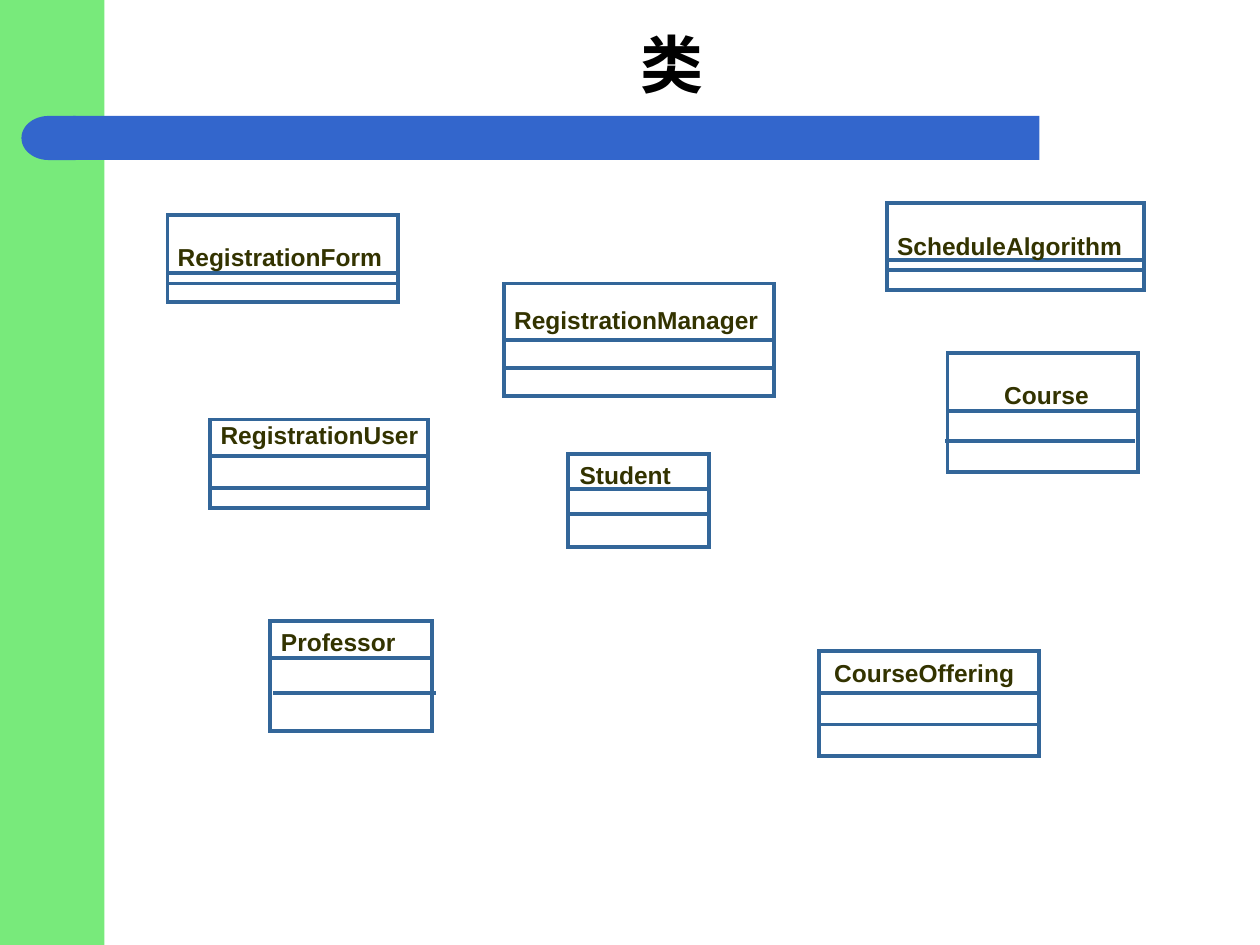
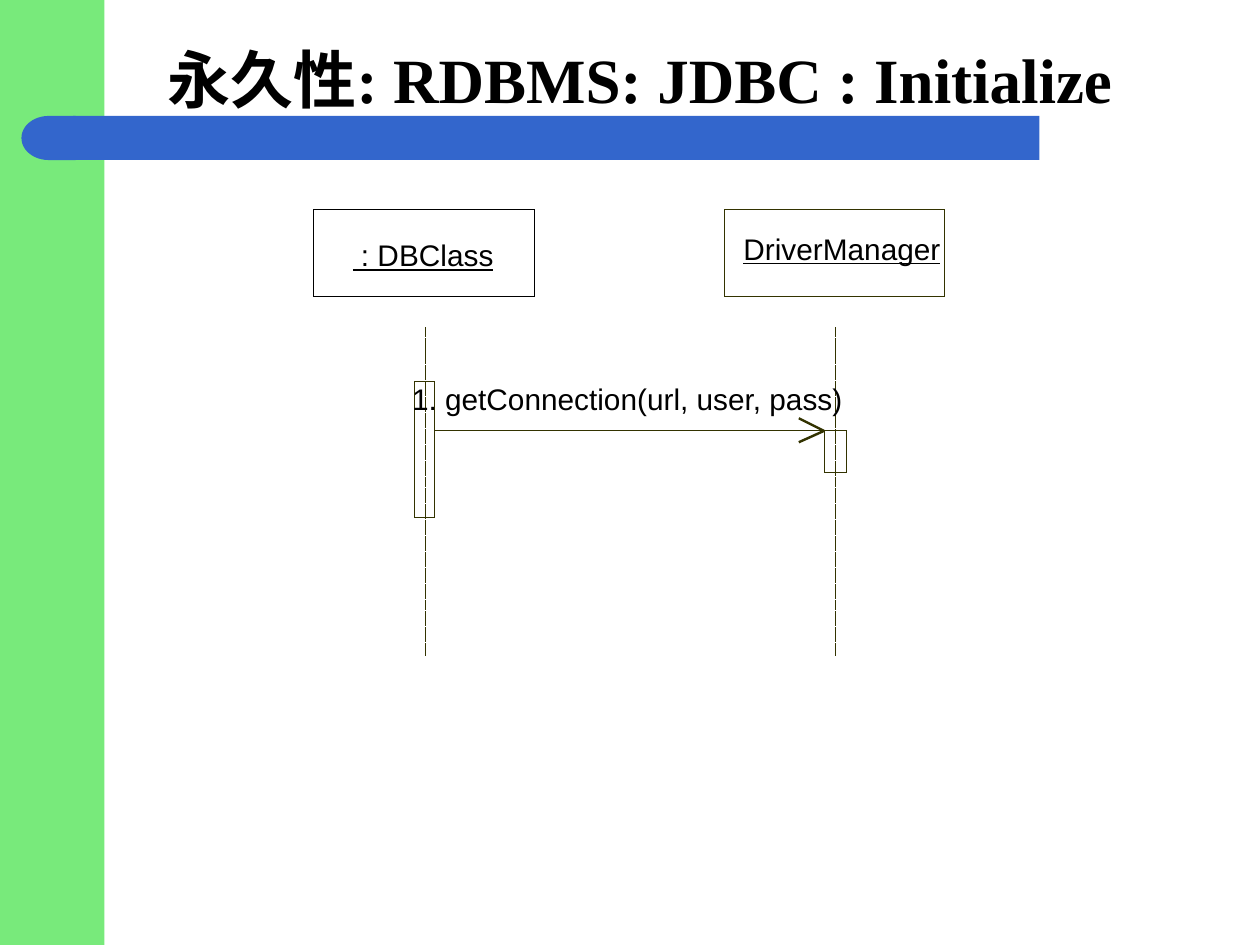
from lxml import etree
from pptx import Presentation
from pptx.dml.color import RGBColor
from pptx.enum.dml import MSO_LINE
from pptx.enum.shapes import MSO_CONNECTOR, MSO_SHAPE
from pptx.enum.text import MSO_ANCHOR, MSO_AUTO_SIZE, PP_ALIGN
from pptx.oxml.ns import qn
from pptx.util import Inches, Pt

RECTANGLE = MSO_SHAPE.RECTANGLE
DELAY = MSO_SHAPE.FLOWCHART_DELAY
STRAIGHT = MSO_CONNECTOR.STRAIGHT
DASHED = MSO_LINE.SQUARE_DOT
CENTER = PP_ALIGN.CENTER
MIDDLE = MSO_ANCHOR.MIDDLE
FIXED_SIZE = MSO_AUTO_SIZE.NONE
LEFT_SIDE, RIGHT_SIDE = 1, 3
TITLE_ONLY = 5
HAIRLINE = 0.01  # a width of zero would fall back to the theme's line

COLORS = {
    "side": "78EA7B",
    "bar": "3366CC",
    "class": "336699",
    "olive": "333300",
    "black": "000000",
}

# name, box, label place, then (height, sideways shift) of both dividers
CLASSES = [
    ("RegistrationForm", (1.33, 1.71, 1.83, 0.69), (1.41, 1.92, 1.68, 0.23), [(2.17, 0), (2.25, 0)]),
    ("RegistrationManager", (4, 2.25, 2.14, 0.89), (4.08, 2.42, 1.99, 0.23), [(2.7, 0), (2.92, 0)]),
    ("Course", (7.52, 2.8, 1.51, 0.95), (7.97, 3.02, 0.72, 0.23), [(3.26, 0), (3.5, -0.02)]),
    ("Student", (4.51, 3.6, 1.12, 0.74), (4.6, 3.65, 0.78, 0.23), [(3.88, 0), (4.08, -0.01)]),
    ("CourseOffering", (6.5, 5.17, 1.75, 0.83), (6.62, 5.22, 1.48, 0.23), [(5.5, 0), (5.75, 0)]),
    ("Professor", (2.14, 4.93, 1.29, 0.87), (2.23, 4.98, 0.96, 0.23), [(5.22, 0), (5.5, 0.03)]),
    ("ScheduleAlgorithm", (7.04, 1.61, 2.04, 0.69), (7.12, 1.83, 1.84, 0.23), [(2.06, 0), (2.14, 0)]),
    ("RegistrationUser", (1.67, 3.33, 1.73, 0.7), (1.75, 3.33, 1.62, 0.23), [(3.62, 0), (3.87, 0)]),
]

# label, its place, box left, box color, lifeline x, activation bar
PARTICIPANTS = [
    (" : DBClass", (2.8, 1.88, 1.17, 0.28), 2.49, "black", 3.38, (3.29, 3.03, 0.16, 1.08)),
    ("DriverManager", (5.9, 1.83, 1.62, 0.28), 5.75, "olive", 6.63, (6.54, 3.42, 0.18, 0.33)),
]


def rgb(color):
    return RGBColor.from_string(COLORS[color])


def write(frame, text, size, font="Arial", color="black", bold=False, underline=False, align=None):
    paragraph = frame.paragraphs[0]
    paragraph.alignment = align
    run = paragraph.add_run()
    run.text = text
    run.font.name = font
    run.font.size = Pt(size)
    run.font.bold = bold
    run.font.underline = underline
    run.font.color.rgb = rgb(color)


class Deck:
    def __init__(self):
        self.prs = Presentation()
        self.prs.slide_width = Inches(10)
        self.prs.slide_height = Inches(7.5)
        self.layout = self.prs.slide_layouts[TITLE_ONLY]
        self.slide = None

    def start_slide(self, title, place):
        first = self.slide is None
        self.slide = self.prs.slides.add_slide(self.layout)
        if first:
            self.decorate_layout()
        heading = self.slide.shapes.title
        heading.left, heading.top, heading.width, heading.height = map(Inches, place)
        frame = heading.text_frame
        frame.auto_size = FIXED_SIZE
        frame.vertical_anchor = MIDDLE
        write(frame, title, 36, font="Times New Roman", bold=True, align=CENTER)

    def decorate_layout(self):
        """Draw the side band and the title bar, then move them to the layout."""
        side = self.box((0, 0, 0.83, 7.5), fill="side")
        bar = self.box((0.58, 0.92, 7.67, 0.35), fill="bar")
        cap = self.box((0.17, 0.92, 0.43, 0.35), fill="bar", kind=DELAY)
        cap.rotation = 180
        for number, band in enumerate((side, bar, cap)):
            band.element.nvSpPr.cNvPr.set("id", str(100 + number))
            self.layout.shapes.element.insert(2 + number, band.element)

    def box(self, place, fill=None, line=None, width=HAIRLINE, kind=RECTANGLE):
        shape = self.slide.shapes.add_shape(kind, *map(Inches, place))
        shape.shadow.inherit = False
        if fill:
            shape.fill.solid()
            shape.fill.fore_color.rgb = rgb(fill)
        else:
            shape.fill.background()
        if line:
            shape.line.color.rgb = rgb(line)
            shape.line.width = Pt(width)
            etree.SubElement(shape.element.spPr.find(qn("a:ln")), qn("a:miter"), lim="800000")
        else:
            shape.line.fill.background()
        return shape

    def line(self, start, end, color="olive", width=HAIRLINE, dash=None):
        connector = self.slide.shapes.add_connector(STRAIGHT, *map(Inches, (*start, *end)))
        connector.line.color.rgb = rgb(color)
        connector.line.width = Pt(width)
        if dash:
            connector.line.dash_style = dash
        etree.SubElement(connector.element.spPr, qn("a:effectLst"))
        return connector

    def label(self, text, place, size, **style):
        frame = self.slide.shapes.add_textbox(*map(Inches, place)).text_frame
        frame.margin_left = frame.margin_top = frame.margin_right = frame.margin_bottom = 0
        frame.word_wrap = True
        frame.auto_size = FIXED_SIZE
        write(frame, text, size, **style)

    def uml_class(self, name, place, label_place, dividers):
        left, top, width, height = place
        outline = self.box(place, line="class", width=2.25)
        for y, shift in dividers:
            start = left + shift
            divider = self.line((start, y), (start + width, y), "class", 2.25)
            if abs(y - top - height / 2) < 0.01:
                divider.begin_connect(outline, LEFT_SIDE)
                divider.end_connect(outline, RIGHT_SIDE)
        self.label(name, label_place, 14, color="olive", bold=True)

    def participant(self, name, label_place, left, color, lifeline, activation):
        self.box((left, 1.66, 1.75, 0.69), line=color)
        self.label(name, label_place, 17, underline=True)
        self.line((lifeline, 2.6), (lifeline, 5.2), dash=DASHED)
        self.box(activation, line="olive")

    def message(self, text, text_place, start, tip):
        self.line(start, tip)
        for rise in (0.09, -0.1):
            self.line(tip, (tip[0] - 0.2, tip[1] + rise), width=1.39)
        self.label(text, text_place, 17)


def main():
    deck = Deck()

    deck.start_slide("类", (0.92, 0.17, 8.83, 0.67))
    for uml_class in CLASSES:
        deck.uml_class(*uml_class)

    deck.start_slide("永久性: RDBMS: JDBC : Initialize", (0.83, 0, 8.5, 1.25))
    for participant in PARTICIPANTS:
        deck.participant(*participant)
    deck.message("1. getConnection(url, user, pass)", (3.27, 3.02, 3.48, 0.28),
                 (3.45, 3.42), (6.54, 3.42))

    deck.prs.save("out.pptx")


if __name__ == "__main__":
    main()
